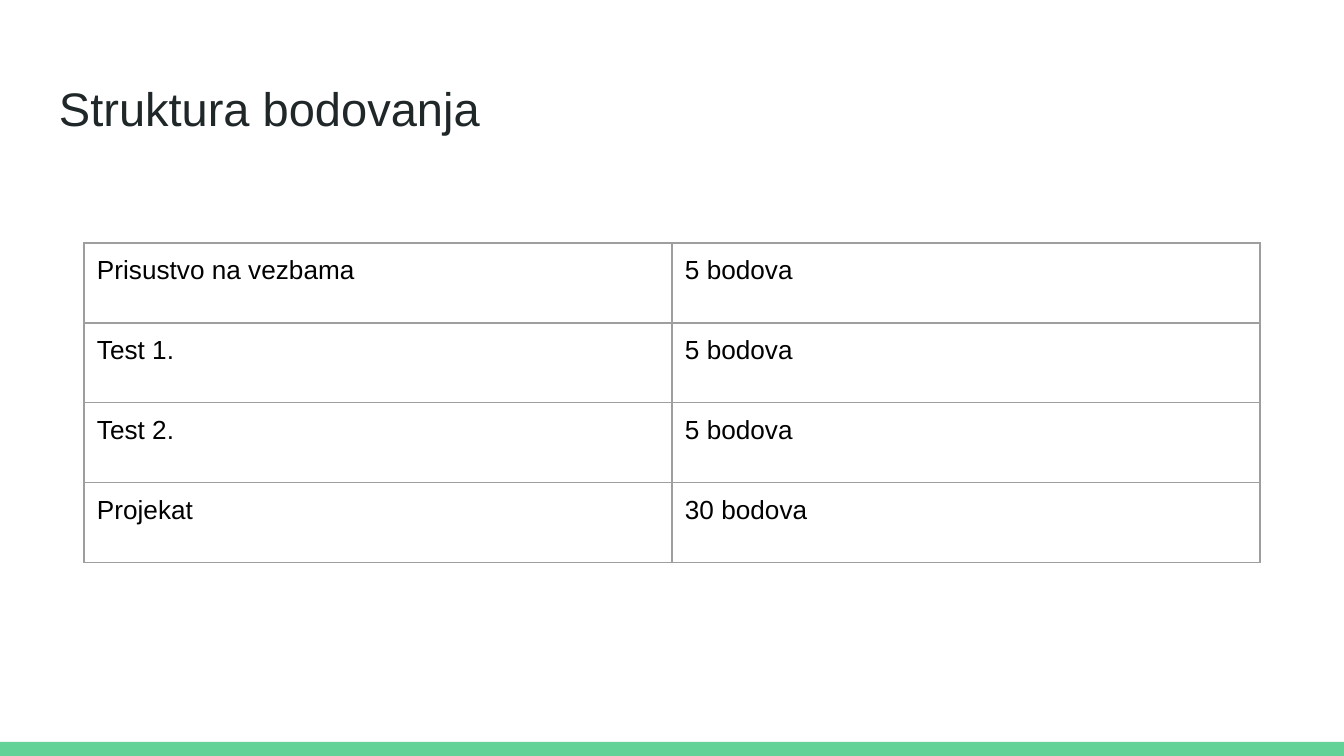
from dataclasses import dataclass
from lxml.etree import SubElement as Sub
from pptx import Presentation as Deck
from pptx.dml.color import RGBColor as Rgb
from pptx.enum.shapes import MSO_SHAPE as Kind
from pptx.enum.text import MSO_ANCHOR as Anchor, MSO_AUTO_SIZE as Fit, PP_ALIGN as Align
from pptx.oxml.ns import qn
from pptx.util import Emu, Pt

WIDE, HIGH = 1344, 756
SCALE = 9144000 / WIDE


@dataclass(frozen=True)
class Theme:
    font: str = "Arial"
    title: str = "202729"
    text: str = "000000"
    bar: str = "63D297"
    edge: str = "9E9E9E"
    big: float = 25.2
    small: float = 14
    line: float = 0.75
    pad: int = 13


LOOK = Theme()
ROWS = [
    ("Prisustvo na vezbama", "5 bodova"),
    ("Test 1.", "5 bodova"),
    ("Test 2.", "5 bodova"),
    ("Projekat", "30 bodova"),
]


def px(num):
    return Emu(round(num * SCALE))


def write(frame, text, size=LOOK.small, color=LOOK.text, align=Align.LEFT):
    para = frame.paragraphs[0]
    para.alignment = align
    run = para.add_run()
    run.text = text
    run.font.name = LOOK.font
    run.font.size = Pt(size)
    run.font.color.rgb = Rgb.from_string(color)


def inset(item):
    item.margin_left = item.margin_right = px(LOOK.pad)
    item.margin_top = item.margin_bottom = px(LOOK.pad)


def add_bar(slide, top):
    bar = slide.shapes.add_shape(Kind.RECTANGLE, 0, px(top), px(WIDE), px(HIGH - top))
    bar.shadow.inherit = False
    bar.fill.solid()
    bar.fill.fore_color.rgb = Rgb.from_string(LOOK.bar)
    bar.line.fill.background()


def set_title(slide, text, left, top, width, height):
    head = slide.shapes.title
    head.left, head.top, head.width, head.height = map(px, (left, top, width, height))
    frame = head.text_frame
    inset(frame)
    frame.word_wrap = True
    frame.auto_size = Fit.NONE
    frame.vertical_anchor = Anchor.MIDDLE
    write(frame, text, size=LOOK.big, color=LOOK.title)


def edge(cell):
    props = cell._tc.get_or_add_tcPr()
    for at, side in enumerate(("lnL", "lnR", "lnT", "lnB")):
        line = Sub(props, qn("a:" + side), w=str(Pt(LOOK.line)))
        props.insert(at, line)
        fill = Sub(line, qn("a:solidFill"))
        Sub(fill, qn("a:srgbClr"), val=LOOK.edge)


def add_grid(slide, rows, left, top, width, pitch):
    count = len(rows[0])
    box = slide.shapes.add_table(
        len(rows), count, px(left), px(top), px(width), px(pitch * len(rows))
    )
    grid = box.table
    grid.first_row = grid.horz_banding = False
    for col in grid.columns:
        col.width = px(width / count)
    for row, texts in zip(grid.rows, rows):
        row.height = px(pitch)
        for cell, text in zip(row.cells, texts):
            inset(cell)
            cell.vertical_anchor = Anchor.TOP
            cell.fill.background()
            edge(cell)
            write(cell.text_frame, text)


def main():
    deck = Deck()
    deck.slide_width, deck.slide_height = px(WIDE), px(HIGH)
    slide = deck.slides.add_slide(deck.slide_layouts[5])
    add_bar(slide, 742)
    set_title(slide, "Struktura bodovanja", 46, 66, 1252, 84)
    add_grid(slide, ROWS, 84, 243, 1176, 80)
    deck.save("out.pptx")


if __name__ == "__main__":
    main()
